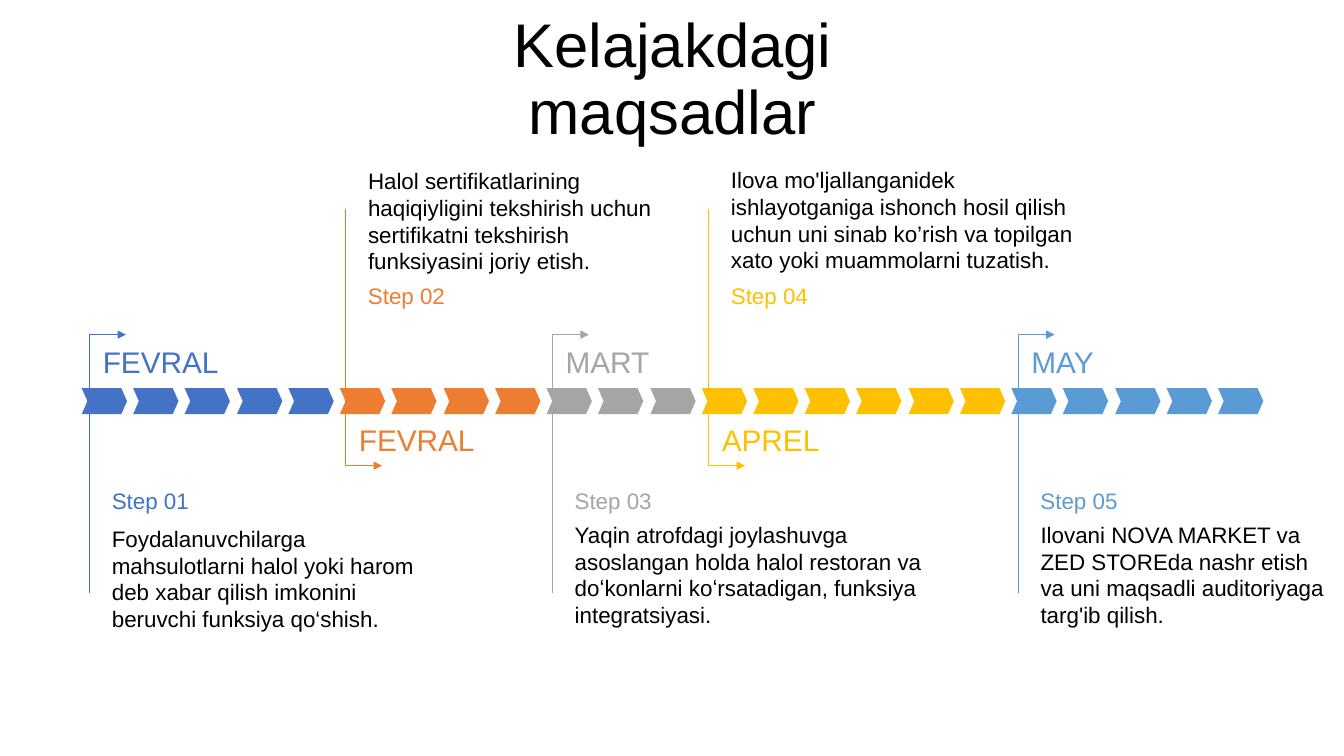
from dataclasses import dataclass

from lxml import etree
from pptx import Presentation
from pptx.dml.color import RGBColor
from pptx.enum.shapes import MSO_SHAPE
from pptx.enum.text import MSO_ANCHOR, PP_ALIGN
from pptx.oxml.ns import qn
from pptx.util import Pt

PX = 9144  # EMU per px, 100 px to the inch
CHEVRON = MSO_SHAPE.CHEVRON
MIDDLE = MSO_ANCHOR.MIDDLE
LEFT, CENTER = PP_ALIGN.LEFT, PP_ALIGN.CENTER
COLORS = {
    "black": "000000",
    "blue": "4472C4",
    "orange": "ED7D31",
    "gray": "A5A5A5",
    "yellow": "FFC000",
    "sky": "5B9BD5",
}

BAND_LEFT, BAND_TOP = 81, 385
CHEVRON_W, CHEVRON_H = 45, 26
CHEVRON_PITCH = 51.23
ARROW_W = 36
TEXT_INDENT = 9


@dataclass
class Step:
    month: str
    color: str
    chevrons: int
    x: int
    body: str
    body_box: tuple  # top, width, height


@dataclass
class Side:
    """Vertical places of the parts of a step."""
    line_start: int
    line_end: int
    month_top: int
    step_top: int


BELOW = Side(588, 332, 337, 479)
ABOVE = Side(207, 462, 415, 275)

STEPS = [
    Step("FEVRAL", "blue", 5, 89,
         "Foydalanuvchilarga mahsulotlarni halol yoki harom deb xabar qilish "
         "imkonini beruvchi funksiya qo‘shish.", (519, 330, 110)),
    Step("FEVRAL", "orange", 4, 343,
         "Halol sertifikatlarining haqiqiyligini tekshirish uchun sertifikatni "
         "tekshirish funksiyasini joriy etish.", (177, 325, 84)),
    Step("MART", "gray", 3, 548,
         "Yaqin atrofdagi joylashuvga asoslangan holda halol restoran va "
         "doʻkonlarni koʻrsatadigan, funksiya integratsiyasi.", (515, 378, 110)),
    Step("APREL", "yellow", 6, 703,
         "Ilova mo'ljallanganidek ishlayotganiga ishonch hosil qilish uchun uni "
         "sinab ko’rish va topilgan xato yoki muammolarni tuzatish.", (183, 387, 70)),
    Step("MAY", "sky", 5, 1010,
         "Ilovani NOVA MARKET va ZED STOREda nashr etish va uni maqsadli "
         "auditoriyaga targ'ib qilish.", (521, 315, 98)),
]


class Deck:
    font = "Arial"
    inset = 13
    line_width = 0.75

    def __init__(self, width, height):
        self.prs = Presentation()
        self.prs.slide_width, self.prs.slide_height = width * PX, height * PX
        self.s = self.prs.slides.add_slide(self.prs.slide_layouts[6])

    def rgb(self, color):
        return RGBColor.from_string(COLORS[color])

    def text(self, x, y, w, h, text, size, color="black", align=LEFT, spacing=1.0):
        tf = self.s.shapes.add_textbox(x * PX, y * PX, w * PX, h * PX).text_frame
        tf.word_wrap = True
        tf.vertical_anchor = MIDDLE
        tf.margin_left = tf.margin_right = self.inset * PX
        tf.margin_top = tf.margin_bottom = self.inset * PX
        tf.text = text
        p = tf.paragraphs[0]
        p.alignment = align
        p.line_spacing = spacing
        font = p.runs[0].font
        font.name, font.size = self.font, Pt(size)
        font.color.rgb = self.rgb(color)

    def chevron(self, x, y, w, h, color):
        sp = self.s.shapes.add_shape(CHEVRON, x * PX, y * PX, w * PX, h * PX)
        sp.adjustments[0] = 0.22
        sp.shadow.inherit = False
        sp.fill.solid()
        sp.fill.fore_color.rgb = self.rgb(color)
        sp.line.fill.background()

    def bent_arrow(self, x, y_start, y_end, w, color):
        """Vertical line that turns right at y_end and ends in an arrowhead."""
        builder = self.s.shapes.build_freeform(x, y_start, scale=PX)
        builder.add_line_segments([(x, y_end), (x + w, y_end)], close=False)
        sp = builder.convert_to_shape()
        sp.shadow.inherit = False
        sp.fill.background()
        sp.line.width = Pt(self.line_width)
        sp.line.color.rgb = self.rgb(color)
        ln = sp.line._get_or_add_ln()
        etree.SubElement(ln, qn("a:tailEnd"), type="triangle")

    def step(self, number, step, side):
        text_x = step.x + TEXT_INDENT
        top, width, height = step.body_box
        self.text(text_x, top, width, height, step.body, 16)
        self.bent_arrow(step.x, side.line_start, side.line_end, ARROW_W, step.color)
        self.text(step.x, side.month_top, 190, 43, step.month, 21.3, step.color)
        self.text(text_x, side.step_top, 190, 36, f"Step {number:02}", 16, step.color)


def main():
    deck = Deck(1333, 750)
    deck.text(351, 45, 632, 71, "Kelajakdagi maqsadlar", 44, align=CENTER, spacing=0.9)

    band_colors = [step.color for step in STEPS for _ in range(step.chevrons)]
    for i, color in enumerate(band_colors):
        x = BAND_LEFT + round(i * CHEVRON_PITCH)
        deck.chevron(x, BAND_TOP, CHEVRON_W, CHEVRON_H, color)

    for number, step in enumerate(STEPS, start=1):
        deck.step(number, step, BELOW if number % 2 else ABOVE)

    deck.prs.save("out.pptx")


if __name__ == "__main__":
    main()
